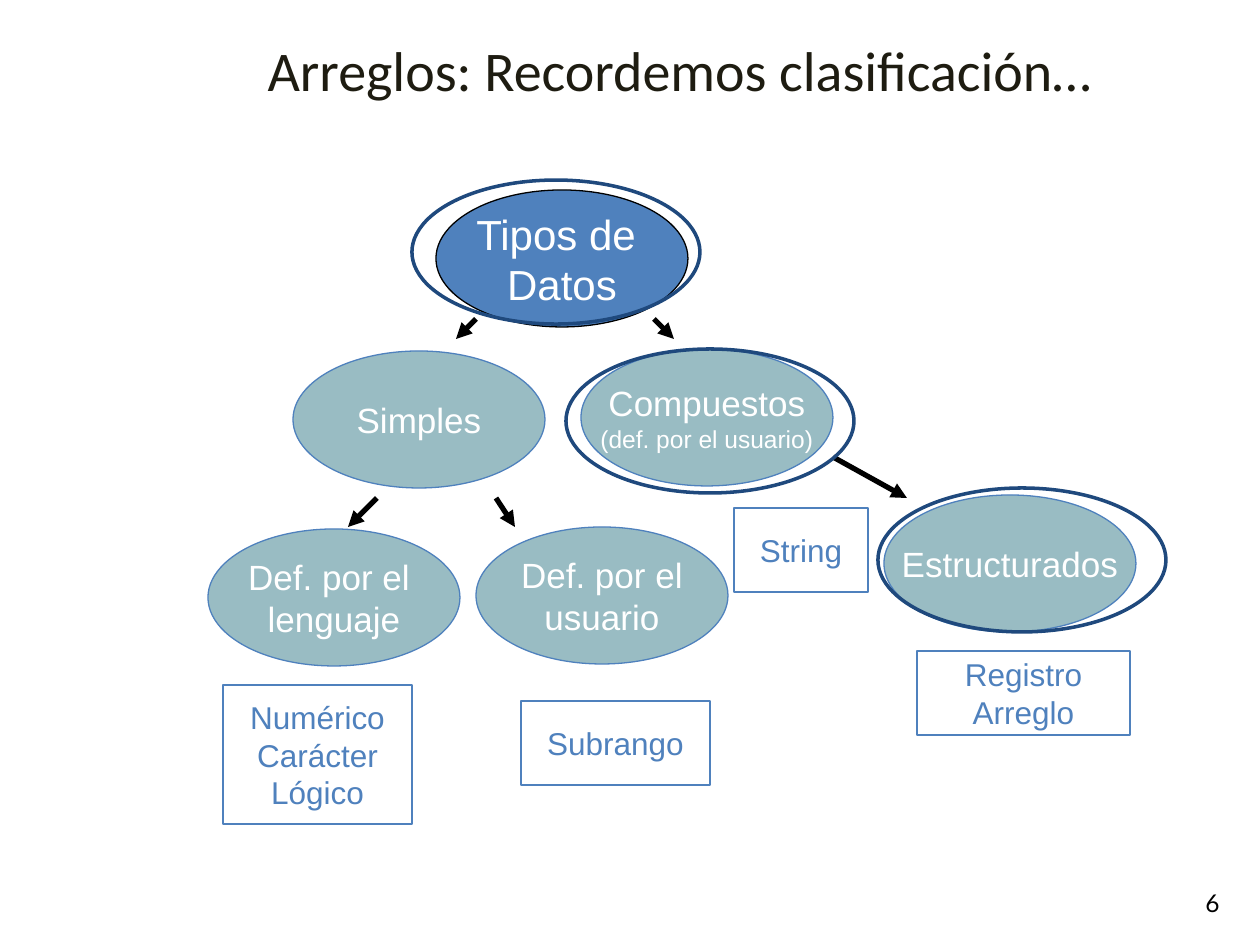
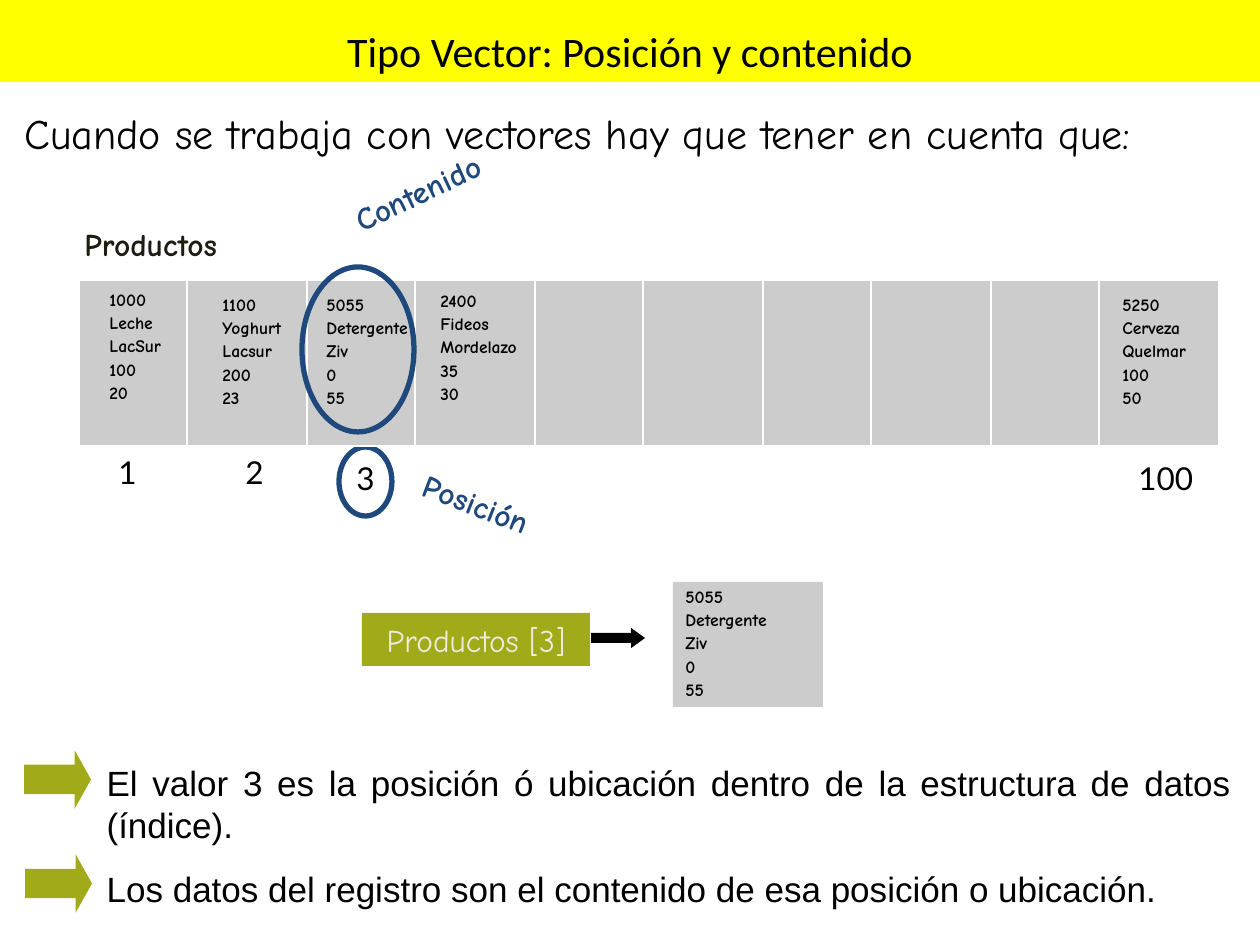
import pptx
import pptx.util
import pptx.dml.color
import pptx.enum.shapes
import pptx.enum.text
import pptx.oxml
import pptx.oxml.ns

SCALE = 914400 / 126  # EMU in one px
KIND = pptx.enum.shapes.MSO_SHAPE
ALIGN = pptx.enum.text.PP_ALIGN
ANCHOR = pptx.enum.text.MSO_ANCHOR
INK = {
    "black": "000000", "white": "FFFFFF", "dark": "1E1C11", "blue": "4F81BD",
    "navy": "1F497D", "teal": "99BCC3", "olive": "A1AB19", "gray": "CCCCCC",
    "cream": "EEECE1", "yellow": "FFFF00",
}
ITEM = ["5055", "Detergente", "Ziv", "0", "55"]


def px(n):
    return round(n * SCALE)


def rgb(name):
    return pptx.dml.color.RGBColor.from_string(INK[name])


def write(frame, lines, size, font="Arial", ink="black", bold=False,
          align=ALIGN.LEFT, anchor=ANCHOR.TOP, wrap=True, before=0, lead=None):
    """Fill a frame; a line is a string or a (string, size) pair."""
    frame.word_wrap = wrap
    frame.auto_size = pptx.enum.text.MSO_AUTO_SIZE.NONE
    frame.vertical_anchor = anchor
    for i, line in enumerate(lines):
        words, pts = line if isinstance(line, tuple) else (line, size)
        para = frame.paragraphs[0] if i == 0 else frame.add_paragraph()
        para.alignment = align
        para.space_before = pptx.util.Pt(before)
        if lead:
            para.line_spacing = lead
        run = para.add_run()
        run.text = words
        run.font.size = pptx.util.Pt(pts)
        run.font.name = font
        run.font.bold = bold
        run.font.color.rgb = rgb(ink)


def place(shape, box):
    shape.left, shape.top, shape.width, shape.height = map(px, box)


def title(slide, box, words, size, ink, anchor, fill=None):
    shape = slide.shapes.title
    place(shape, box)
    if fill:
        shape.fill.solid()
        shape.fill.fore_color.rgb = rgb(fill)
    write(shape.text_frame, [words], size, "Calibri", ink,
          align=ALIGN.CENTER, anchor=anchor)


def points(slide, box, lines):
    """Fill the body placeholder with paragraphs without bullets."""
    body = slide.placeholders[1]
    place(body, box)
    write(body.text_frame, lines, 20, align=ALIGN.JUSTIFY, before=12.5)
    for para in body.text_frame.paragraphs:
        props = para._p.get_or_add_pPr()
        props.set("marL", "0")
        props.set("indent", "0")
        props.append(pptx.oxml.parse_xml(
            "<a:buNone %s/>" % pptx.oxml.ns.nsdecls("a")))


def label(slide, box, lines, size, turn=0, **style):
    shape = slide.shapes.add_textbox(*map(px, box))
    shape.rotation = turn
    write(shape.text_frame, lines, size, **style)


def form(slide, kind, box, fill=None, line=None, width=0.75):
    shape = slide.shapes.add_shape(kind, *map(px, box))
    shape.shadow.inherit = False
    if fill:
        shape.fill.solid()
        shape.fill.fore_color.rgb = rgb(fill)
    else:
        shape.fill.background()
    if line:
        shape.line.color.rgb = rgb(line)
        shape.line.width = pptx.util.Pt(width)
    else:
        shape.line.fill.background()
    return shape


def center(shape, lines, size, ink, font="Arial"):
    write(shape.text_frame, lines, size, font, ink,
          align=ALIGN.CENTER, anchor=ANCHOR.MIDDLE, wrap=False)


def node(slide, x, y, lines, size=20, fill="teal", line="blue"):
    oval = form(slide, KIND.OVAL, (x, y, 252, 137), fill, line)
    center(oval, lines, size, "white")


def leaf(slide, box, lines):
    center(form(slide, KIND.RECTANGLE, box, "white", "blue"), lines, 18, "blue")


def ring(slide, box, width):
    form(slide, KIND.OVAL, box, line="navy", width=width)


def link(slide, x1, y1, x2, y2):
    line = slide.shapes.add_connector(
        pptx.enum.shapes.MSO_CONNECTOR.STRAIGHT, *map(px, (x1, y1, x2, y2)))
    line.line.color.rgb = rgb("black")
    line.line.width = pptx.util.Pt(3)
    space = pptx.oxml.ns.nsdecls("a")
    line.line._get_or_add_ln().append(
        pptx.oxml.parse_xml('<a:tailEnd %s type="triangle"/>' % space))
    line._element.spPr.append(
        pptx.oxml.parse_xml("<a:effectLst %s/>" % space))


def arrow(slide, box, fill, tip):
    shape = form(slide, KIND.RIGHT_ARROW, box, fill)
    shape.adjustments[1] = tip


def record(frame, lines):
    write(frame, lines, 10, "Comic Neue", bold=True, before=2.5, lead=0.9)


def types(deck):
    slide = deck.slides.add_slide(deck.slide_layouts[5])
    title(slide, (144, 29, 1072, 116), "Arreglos: Recordemos clasificación…",
          32, "dark", ANCHOR.TOP)
    label(slide, (970, 861, 262, 63), ["6"], 14, font="Lato",
          align=ALIGN.RIGHT, anchor=ANCHOR.BOTTOM)

    node(slide, 436, 190, ["Tipos de ", "Datos"], 24, "blue", "black")
    node(slide, 293, 351, ["Simples"])
    node(slide, 581, 349, ["Compuestos", ("(def. por el usuario)", 14)])
    node(slide, 208, 529, ["Def. por el ", "lenguaje"])
    node(slide, 476, 527, ["Def. por el", "usuario"])
    node(slide, 884, 495, ["Estructurados"])

    leaf(slide, (223, 685, 189, 139), ["Numérico", "Carácter", "Lógico"])
    leaf(slide, (521, 701, 189, 84), ["Subrango"])
    leaf(slide, (734, 508, 134, 84), ["String"])
    leaf(slide, (917, 651, 213, 84), ["Registro", "Arreglo"])

    for ends in ((476, 319, 456, 339), (654, 319, 674, 339),
                 (377, 498, 348, 527), (496, 498, 515, 527),
                 (833, 457, 907, 498)):
        link(slide, *ends)
    for x, y in ((412, 180), (566, 349), (878, 488)):
        ring(slide, (x, y, 288, 144), 2)


def vector(deck):
    slide = deck.slides.add_slide(deck.slide_layouts[1])
    title(slide, (0, -1, 1260, 83), "Tipo Vector: Posición y contenido",
          24, "black", ANCHOR.BOTTOM, "yellow")
    label(slide, (12, 101, 1214, 63),
          ["Cuando se trabaja con vectores hay que tener en cuenta que:"], 24,
          font="Comic Neue", align=ALIGN.JUSTIFY, before=6)
    points(slide, (94, 755, 1150, 161), [
        "El valor 3 es la posición ó ubicación dentro de la estructura de datos (índice).",
        "Los datos del registro son el contenido de esa posición o ubicación."])
    for x, y in ((24, 750), (25, 854)):
        arrow(slide, (x, y, 67, 59), "olive", 0.28)

    ring(slide, (339, 447, 53, 69), 3)
    name = dict(font="Comic Neue", bold=True, before=11.2)
    label(slide, (72, 219, 193, 50), ["Productos"], 18, ink="dark", **name)
    x = 79
    for i in range(10):
        wide = 120 if i % 2 else 108
        form(slide, KIND.RECTANGLE, (x, 280, wide, 166), "gray", "white")
        x += wide
    for x, y, lines in (
            (97, 285, ["1000", "Leche", "LacSur", "100", "20"]),
            (210, 290, ["1100", "Yoghurt", "Lacsur", "200", "23"]),
            (314, 290, ITEM),
            (428, 286, ["2400", "Fideos", "Mordelazo", "35", "30"]),
            (1110, 290, ["5250", "Cerveza", "Quelmar", "100", "50"])):
        box = slide.shapes.add_textbox(*map(px, (x, y, 150, 125)))
        record(box.text_frame, lines)
    for x, y, wide, mark in ((106, 447, 67, "1"), (233, 447, 67, "2"),
                             (344, 453, 67, "3"), (1126, 453, 88, "100")):
        label(slide, (x, y, wide, 50), [mark], 18, font="Lato")

    ring(slide, (302, 267, 112, 165), 3)
    label(slide, (336, 160, 194, 50), ["Contenido"], 18, 334.6, ink="navy", **name)
    label(slide, (408, 481, 149, 50), ["Posición"], 18, 21.1, ink="navy", **name)

    tag = form(slide, KIND.RECTANGLE, (362, 613, 228, 53), "olive")
    center(tag, ["Productos [3]"], 18, "cream", "Comic Neue")
    arrow(slide, (591, 628, 54, 20), "black", 0.69)
    card = form(slide, KIND.RECTANGLE, (673, 582, 150, 125), "gray")
    record(card.text_frame, ITEM)


def main():
    deck = pptx.Presentation()
    deck.slide_width, deck.slide_height = px(1260), px(945)
    types(deck)
    vector(deck)
    deck.save("out.pptx")


if __name__ == "__main__":
    main()
